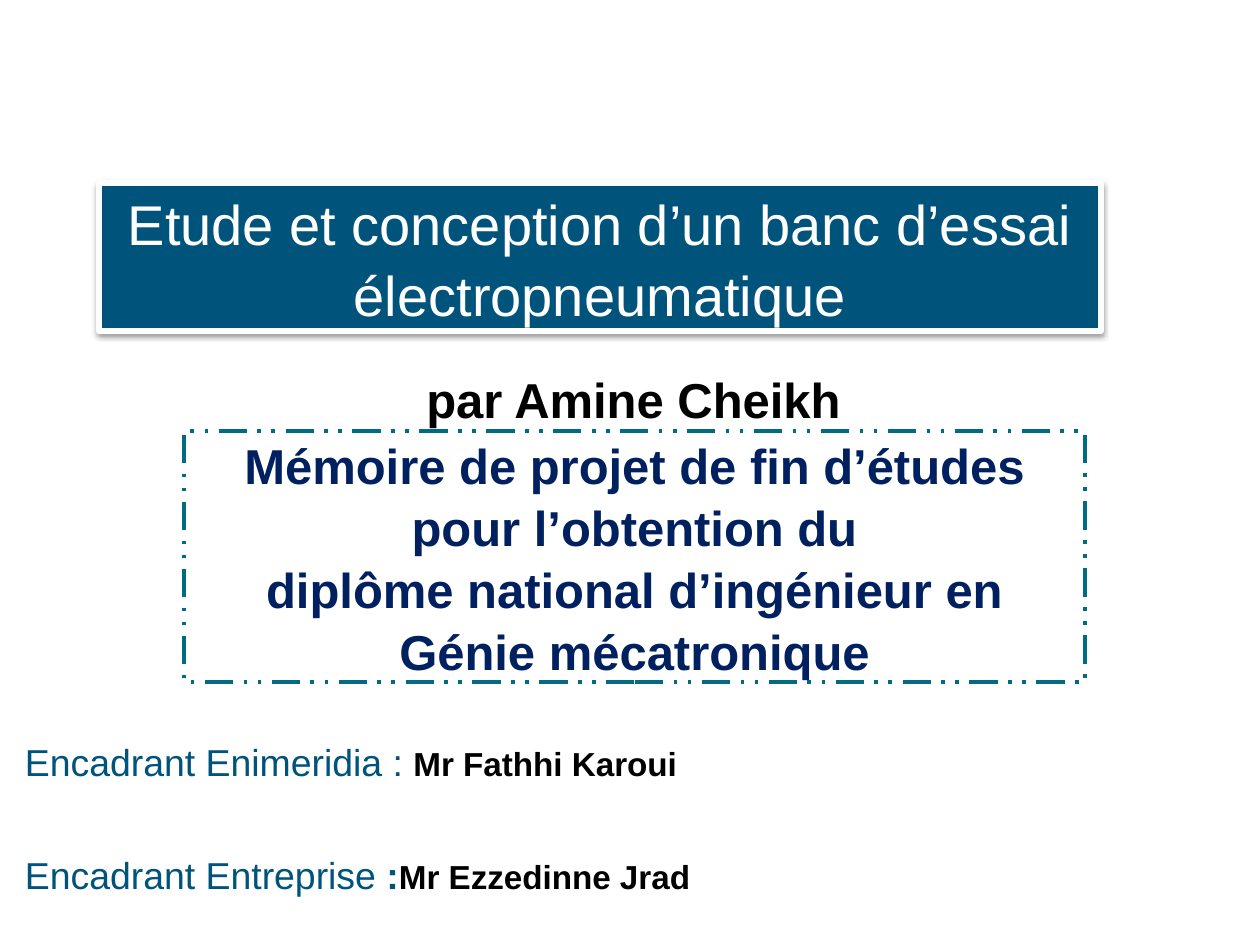
from dataclasses import dataclass

from lxml.etree import SubElement
from pptx import Presentation
from pptx.dml.color import RGBColor as Rgb
from pptx.enum.dml import MSO_LINE
from pptx.enum.shapes import MSO_SHAPE as Shape
from pptx.enum.text import MSO_ANCHOR as Anchor, PP_ALIGN as Align
from pptx.oxml.ns import qn
from pptx.util import Emu, Pt

PX = 914400 // 126


@dataclass(frozen=True)
class Theme:
    font: str = "Arial"
    white: str = "FFFFFF"
    black: str = "000000"
    blue: str = "00547C"
    teal: str = "006B82"
    navy: str = "002060"
    title_size: float = 32
    heading_size: float = 28
    label_size: float = 21.4
    name_size: float = 19
    leading: float = 1.05


THEME = Theme()


def px(*lengths):
    return [Emu(length * PX) for length in lengths]


def style_run(run, size, color, bold=False):
    run.font.name = THEME.font
    run.font.size = Pt(size)
    run.font.bold = bold
    run.font.color.rgb = Rgb.from_string(color)


def set_heading(frame, text, size, color, bold=False):
    frame.word_wrap = True
    heading = frame.paragraphs[0]
    heading.text = text.replace("\n", "\v")
    heading.alignment = Align.CENTER
    heading.line_spacing = THEME.leading
    for run in heading.runs:
        style_run(run, size, color, bold)


def add_text_area(slide, box, top_inset, side_inset):
    frame = slide.shapes.add_textbox(*px(*box)).text_frame
    frame.word_wrap = True
    frame.margin_top, frame.margin_bottom = px(top_inset, 0)
    frame.margin_left, frame.margin_right = px(side_inset, side_inset)
    return frame


def add_panel(slide, box, fill, outline, weight):
    panel = slide.shapes.add_shape(Shape.RECTANGLE, *px(*box))
    panel.shadow.inherit = False
    panel.fill.solid()
    panel.fill.fore_color.rgb = Rgb.from_string(fill)
    panel.line.color.rgb = Rgb.from_string(outline)
    panel.line.width = Pt(weight)
    panel.text_frame.vertical_anchor = Anchor.MIDDLE
    return panel


def add_drop_shadow(panel, color, opacity, blur, distance):
    effects = panel.element.spPr.find(qn("a:effectLst"))
    shadow = SubElement(effects, qn("a:outerShdw"), blurRad=str(int(Pt(blur))),
                        dist=str(int(Pt(distance))), dir="5400000", rotWithShape="0")
    tint = SubElement(shadow, qn("a:srgbClr"), val=color)
    SubElement(tint, qn("a:alpha"), val=str(opacity * 1000))


def add_supervisors(slide, box, supervisors):
    frame = add_text_area(slide, box, 28, 0)
    for index, parts in enumerate(supervisors):
        entry = frame.add_paragraph() if index else frame.paragraphs[0]
        entry.alignment = Align.JUSTIFY
        entry.space_before = Pt(39 if index else 0)
        for text, size, color, bold in parts:
            run = entry.add_run()
            run.text = text
            style_run(run, size, color, bold)


def main():
    deck = Presentation()
    deck.slide_width, deck.slide_height = px(1260, 945)
    slide = deck.slides.add_slide(deck.slide_layouts[6])

    author = add_text_area(slide, (83, 364, 1101, 53), 3, 13)
    set_heading(author, "par Amine Cheikh", THEME.heading_size, THEME.black, True)

    label = (THEME.label_size, THEME.blue)
    name = (THEME.name_size, THEME.black, True)
    add_supervisors(slide, (25, 711, 1150, 169), [
        [("Encadrant Enimeridia : ", *label, False), ("Mr Fathhi Karoui", *name)],
        [("Encadrant Entreprise ", *label, False), (":", *label, True),
         ("Mr Ezzedinne Jrad", *name)],
    ])

    title = add_panel(slide, (99, 183, 1002, 148), THEME.blue, THEME.white, 3)
    add_drop_shadow(title, THEME.black, 38, 3.1, 1.6)
    set_heading(title.text_frame,
                "Etude et conception d’un banc d’essai électropneumatique",
                THEME.title_size, THEME.white)

    degree = add_panel(slide, (184, 431, 901, 251), THEME.white, THEME.teal, 2)
    degree.line.dash_style = MSO_LINE.DASH_DOT_DOT
    set_heading(degree.text_frame,
                "Mémoire de projet de fin d’études pour l’obtention du\n"
                "diplôme national d’ingénieur en\nGénie mécatronique",
                THEME.heading_size, THEME.navy, True)

    deck.save("out.pptx")


if __name__ == "__main__":
    main()
